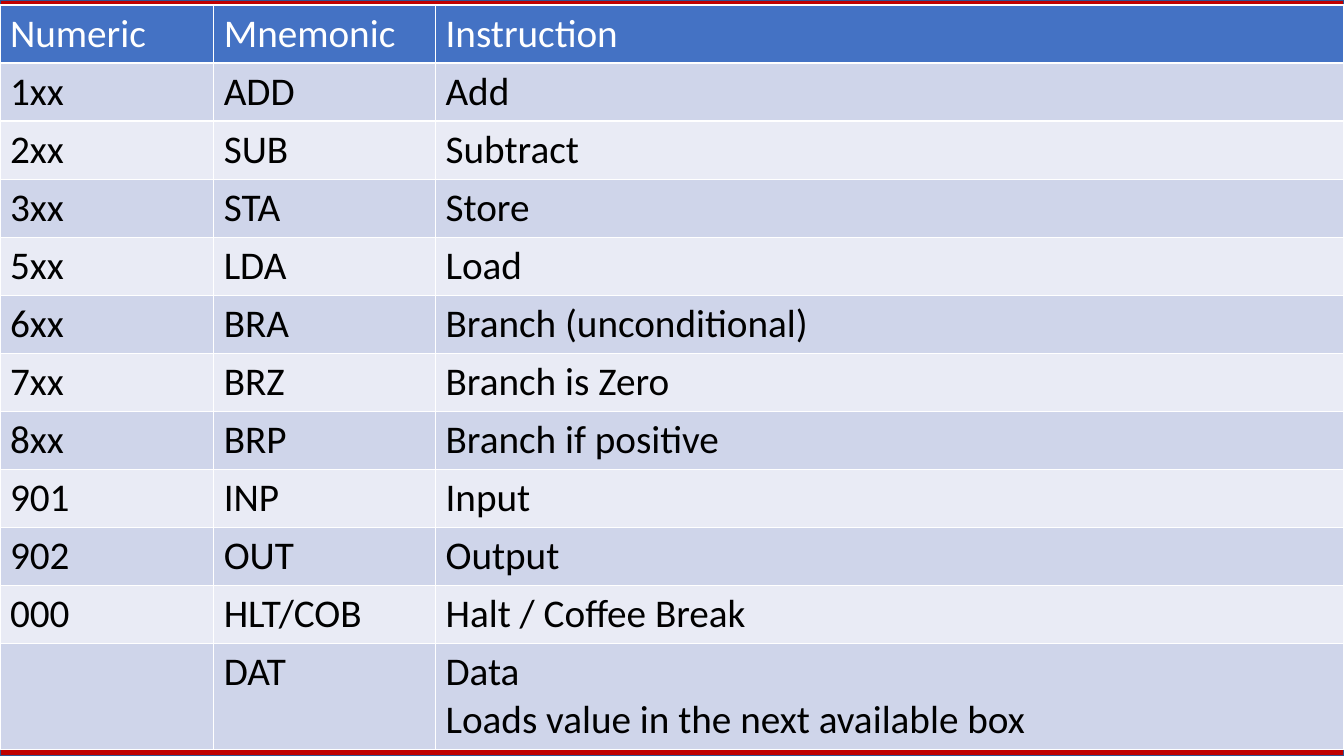
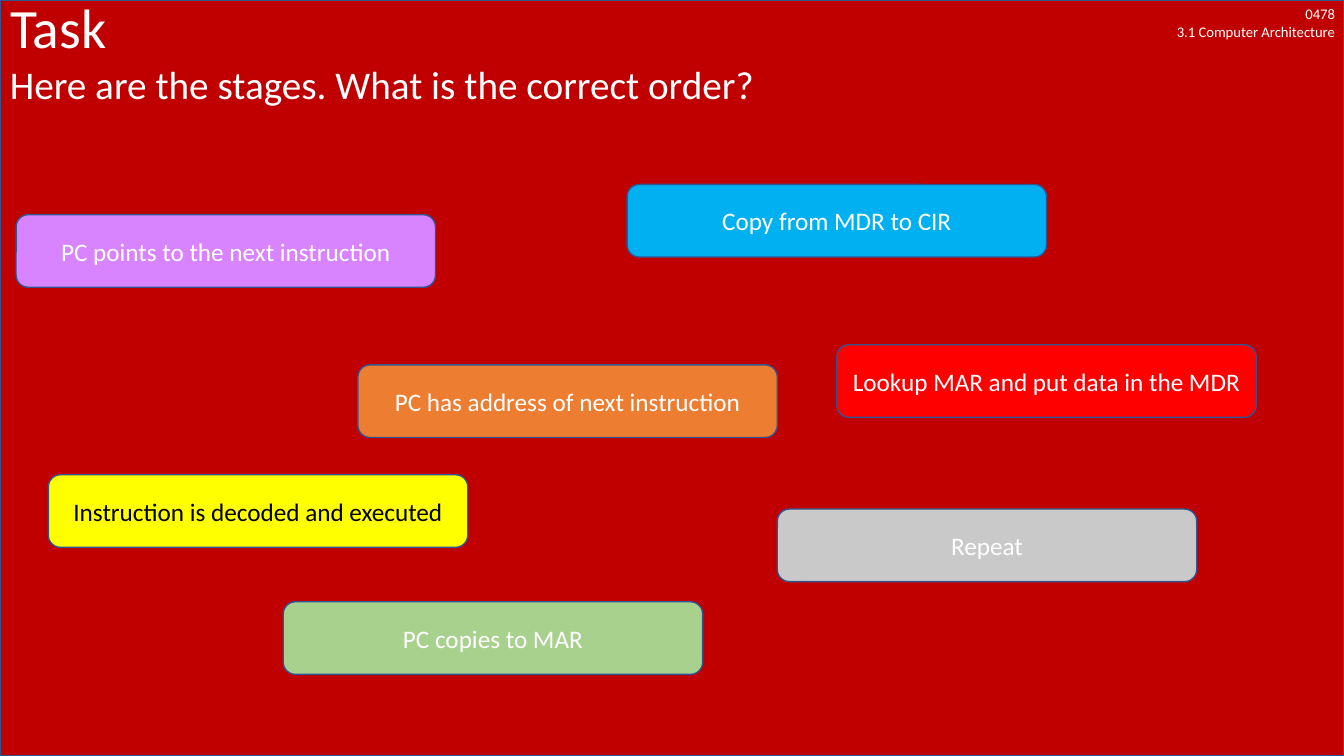
import pptx
import pptx.dml.color
import pptx.enum.shapes
import pptx.enum.text
import pptx.oxml
import pptx.oxml.ns
import pptx.util

Inches = pptx.util.Inches
Pt = pptx.util.Pt
RGBColor = pptx.dml.color.RGBColor
Shape = pptx.enum.shapes.MSO_SHAPE
Align = pptx.enum.text.PP_ALIGN
Anchor = pptx.enum.text.MSO_ANCHOR

FONT = "Calibri"
WHITE = RGBColor(0xFF, 0xFF, 0xFF)
BLACK = RGBColor(0x00, 0x00, 0x00)
DARK_RED = RGBColor(0xC0, 0x00, 0x00)
OUTLINE = RGBColor(0x32, 0x54, 0x91)
HEADER_BLUE = RGBColor(0x44, 0x72, 0xC4)
BAND_DARK = RGBColor(0xCF, 0xD5, 0xEA)
BAND_LIGHT = RGBColor(0xE9, 0xEB, 0xF5)
ORANGE = RGBColor(0xED, 0x7D, 0x31)
GREEN = RGBColor(0xA9, 0xD1, 0x8E)
RED = RGBColor(0xFF, 0x00, 0x00)
SKY_BLUE = RGBColor(0x00, 0xB0, 0xF0)
VIOLET = RGBColor(0xD8, 0x83, 0xFF)
YELLOW = RGBColor(0xFF, 0xFF, 0x00)
GREY = RGBColor(0xC9, 0xC9, 0xC9)

PAGE_WIDTH, PAGE_HEIGHT = 13.33, 7.5
TITLE_ONLY, BLANK = 5, 6
CARD_WIDTH, CARD_HEIGHT = 4.16, 0.72
ROW_HEIGHT, LAST_ROW_HEIGHT = 0.56, 1.03
COLUMN_WIDTHS = (2.12, 2.2, 9.01)

# A "\v" in a text is a line break inside its paragraph.
INSTRUCTIONS = [
    ("Numeric", "Mnemonic", "Instruction"),
    ("1xx", "ADD", "Add"),
    ("2xx", "SUB", "Subtract"),
    ("3xx", "STA", "Store"),
    ("5xx", "LDA", "Load"),
    ("6xx", "BRA", "Branch (unconditional)"),
    ("7xx", "BRZ", "Branch is Zero"),
    ("8xx", "BRP", "Branch if positive"),
    ("901", "INP", "Input"),
    ("902", "OUT", "Output"),
    ("000", "HLT/COB", "Halt / Coffee Break"),
    ("", "DAT", "Data\vLoads value in the next available box"),
]

# Left, top, fill, text colour, text
STAGES = [
    (3.55, 3.62, ORANGE, WHITE, "PC has address of next instruction"),
    (2.81, 5.97, GREEN, WHITE, "PC copies to MAR"),
    (8.3, 3.42, RED, WHITE, "Lookup MAR and put data in the MDR"),
    (6.22, 1.83, SKY_BLUE, WHITE, "Copy from MDR to CIR"),
    (0.16, 2.13, VIOLET, WHITE, "PC points to the next instruction"),
    (0.48, 4.71, YELLOW, BLACK, "Instruction is decoded and executed"),
    (7.71, 5.05, GREY, WHITE, "Repeat"),
]


def write(frame, text, size, color=WHITE, align=Align.LEFT, spacing=None):
    """Fill a text frame with one evenly formatted paragraph."""
    frame.text = text
    frame.word_wrap = True
    para = frame.paragraphs[0]
    para.alignment = align
    para.line_spacing = spacing
    para.font.name = FONT
    para.font.size = Pt(size)
    para.font.color.rgb = color


def add_panel(page, kind, left, top, width, height, fill):
    panel = page.shapes.add_shape(
        kind, Inches(left), Inches(top), Inches(width), Inches(height))
    panel.shadow.inherit = False
    panel.fill.solid()
    panel.fill.fore_color.rgb = fill
    panel.line.color.rgb = OUTLINE
    panel.line.width = Pt(1)
    return panel


def add_text(page, left, top, width, height, text, size, **style):
    box = page.shapes.add_textbox(
        Inches(left), Inches(top), Inches(width), Inches(height))
    write(box.text_frame, text, size, **style)


def add_page(deck, layout):
    """Add a slide with the red backdrop behind everything else."""
    page = deck.slides.add_slide(deck.slide_layouts[layout])
    backdrop = add_panel(
        page, Shape.RECTANGLE, 0, 0, PAGE_WIDTH, PAGE_HEIGHT, DARK_RED).element
    backdrop.getparent().insert(2, backdrop)
    return page


def set_title(page, text):
    title = page.shapes.title
    title.left, title.top = Inches(0), Inches(0)
    title.width, title.height = Inches(PAGE_WIDTH), Inches(0.6)
    title.text_frame.auto_size = pptx.enum.text.MSO_AUTO_SIZE.NONE
    title.text_frame.vertical_anchor = Anchor.MIDDLE
    write(title.text_frame, text, 39.6, spacing=0.9)


def add_borders(cell):
    """Draw a white line of one point on all four sides; call before filling."""
    properties = cell._tc.get_or_add_tcPr()
    for side in ("lnL", "lnR", "lnT", "lnB"):
        properties.append(pptx.oxml.parse_xml(
            f'<a:{side} {pptx.oxml.ns.nsdecls("a")} w="{Pt(1)}">'
            f'<a:solidFill><a:srgbClr val="{WHITE}"/></a:solidFill></a:{side}>'))


def add_instruction_table(page, left, top):
    heights = [ROW_HEIGHT] * (len(INSTRUCTIONS) - 1) + [LAST_ROW_HEIGHT]
    table = page.shapes.add_table(
        len(heights), len(COLUMN_WIDTHS), Inches(left), Inches(top),
        Inches(sum(COLUMN_WIDTHS)), Inches(sum(heights))).table
    for column, width in zip(table.columns, COLUMN_WIDTHS):
        column.width = Inches(width)
    for index, (texts, height) in enumerate(zip(INSTRUCTIONS, heights)):
        row = table.rows[index]
        row.height = Inches(height)
        if index == 0:
            fill, color = HEADER_BLUE, WHITE
        else:
            fill, color = (BAND_DARK if index % 2 else BAND_LIGHT), BLACK
        for cell, text in zip(row.cells, texts):
            add_borders(cell)
            cell.fill.solid()
            cell.fill.fore_color.rgb = fill
            write(cell.text_frame, text, 28, color)
            cell.text_frame.paragraphs[0].font.bold = False


def add_stage(page, left, top, fill, color, text):
    card = add_panel(page, Shape.ROUNDED_RECTANGLE, left, top,
                     CARD_WIDTH, CARD_HEIGHT, fill)
    card.text_frame.vertical_anchor = Anchor.MIDDLE
    write(card.text_frame, text, 18, color, Align.CENTER)


def build_instruction_page(deck):
    add_instruction_table(add_page(deck, BLANK), 0, 0.05)


def build_task_page(deck):
    page = add_page(deck, TITLE_ONLY)
    add_text(page, 11.24, 0, 2.1, 0.45, "0478\v3.1 Computer Architecture",
             10.5, align=Align.RIGHT)
    set_title(page, "Task")
    add_text(page, 0, 0.6, PAGE_WIDTH, PAGE_HEIGHT - 0.6,
             "Here are the stages. What is the correct order?", 28, spacing=0.9)
    for stage in STAGES:
        add_stage(page, *stage)


def main():
    deck = pptx.Presentation()
    deck.slide_width = Inches(PAGE_WIDTH)
    deck.slide_height = Inches(PAGE_HEIGHT)
    build_instruction_page(deck)
    build_task_page(deck)
    deck.save("out.pptx")


if __name__ == "__main__":
    main()
